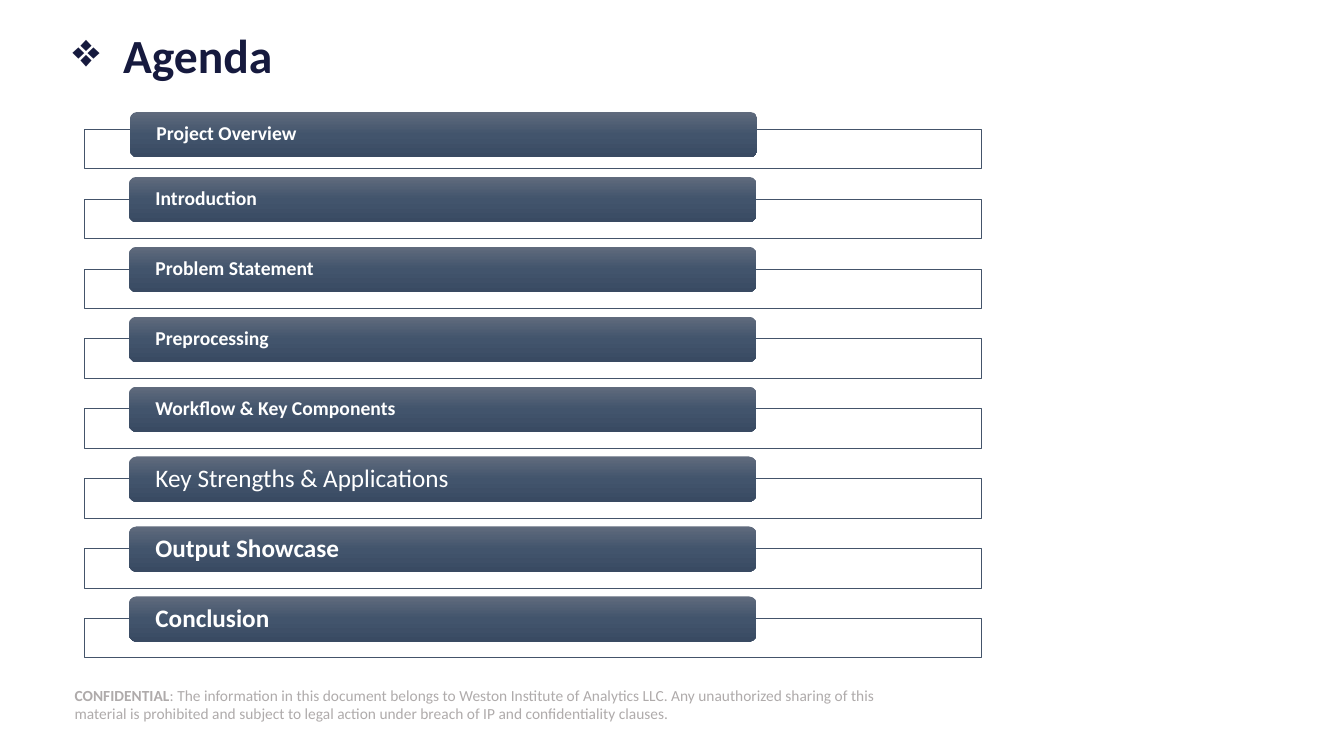
import copy

import lxml.etree
import pptx
import pptx.dml.color
import pptx.enum.shapes
import pptx.enum.text
import pptx.oxml.ns
import pptx.util

COLORS = {
    "white": "FFFFFF",
    "title": "161A3E",
    "frame": "44546A",
    "footer": "AFABAB",
    "bar_top": "606B7D",
    "bar_middle": "42546C",
    "bar_bottom": "394A62",
}
FONT = "Calibri"
SLIDE_WIDTH, SLIDE_HEIGHT = 13.33, 7.5
AGENDA = [
    ("Project Overview", 14, True),
    ("Introduction", 14, True),
    ("Problem Statement", 14, True),
    ("Preprocessing", 14, True),
    ("Workflow & Key Components", 14, True),
    ("Key Strengths & Applications", 18, False),
    ("Output Showcase", 18, True),
    ("Conclusion", 18, True),
]
CONFIDENTIALITY = (
    ": The information in this document belongs to Weston Institute of Analytics LLC. "
    "Any unauthorized sharing of this material is prohibited and subject to legal action "
    "under breach of IP and confidentiality clauses."
)


def rgb(name):
    return pptx.dml.color.RGBColor.from_string(COLORS[name])


def add_child(parent, tag, **attributes):
    return lxml.etree.SubElement(parent, pptx.oxml.ns.qn(tag), attributes)


def place(shape, box):
    shape.left, shape.top, shape.width, shape.height = map(pptx.util.Inches, box)


def add_box(page, kind, box):
    shape = page.shapes.add_shape(kind, *map(pptx.util.Inches, box))
    shape.shadow.inherit = False
    shape.line.fill.background()
    return shape


def format_frame(frame, inset=0):
    frame.word_wrap = True
    frame.auto_size = pptx.enum.text.MSO_AUTO_SIZE.NONE
    frame.vertical_anchor = pptx.enum.text.MSO_ANCHOR.MIDDLE
    frame.margin_left = frame.margin_right = pptx.util.Inches(inset)
    frame.margin_top = frame.margin_bottom = 0


def add_text(para, text, size, color, bold=False, spacing=1.0):
    para.alignment = pptx.enum.text.PP_ALIGN.LEFT
    para.line_spacing = spacing
    span = para.add_run()
    span.text = text
    span.font.name = FONT
    span.font.size = pptx.util.Pt(size)
    span.font.bold = bold
    span.font.color.rgb = rgb(color)


def fill_bar(bar):
    bar.fill.gradient()
    bar.fill.gradient_angle = 270
    first_stop = bar.fill.gradient_stops[0]._gs
    first_stop.addnext(copy.deepcopy(first_stop))
    names = ("bar_top", "bar_middle", "bar_bottom")
    for index, (stop, name) in enumerate(zip(bar.fill.gradient_stops, names)):
        stop.position = index / 2
        stop.color.rgb = rgb(name)


def build_title(page, box):
    title = page.shapes.title
    place(title, box)
    format_frame(title.text_frame)
    para = title.text_frame.paragraphs[0]
    add_text(para, "Agenda", 34, "title", bold=True, spacing=0.9)
    properties = para._p.get_or_add_pPr()
    indent = pptx.util.Inches(0.5)
    properties.set("marL", str(indent))
    properties.set("indent", str(-indent))
    add_child(properties, "a:buChar", char="❖")


def build_agenda(page, box):
    left, top, width, height = box
    pitch = height / len(AGENDA)
    shapes = pptx.enum.shapes.MSO_SHAPE
    for row, (label, size, bold) in enumerate(AGENDA):
        row_top = top + row * pitch
        frame = add_box(page, shapes.RECTANGLE, (left, row_top, width, 0.39))
        frame.fill.solid()
        frame.fill.fore_color.rgb = rgb("white")
        color = frame.fill._xPr.find(".//" + pptx.oxml.ns.qn("a:srgbClr"))
        add_child(color, "a:alpha", val="90000")
        frame.line.color.rgb = rgb("frame")
        frame.line.width = pptx.util.Pt(0.5)

        shift, rise = (0.45, 0.17) if row == 0 else (0.44, 0.22)
        bar_box = (left + shift, row_top - rise, width * 0.7, 0.45)
        bar = add_box(page, shapes.ROUNDED_RECTANGLE, bar_box)
        fill_bar(bar)
        format_frame(bar.text_frame, inset=0.24)
        add_text(bar.text_frame.paragraphs[0], label, size, "white", bold=bold, spacing=0.9)


def build_footer(page, box):
    footer = add_box(page, pptx.enum.shapes.MSO_SHAPE.RECTANGLE, box)
    footer.fill.solid()
    footer.fill.fore_color.rgb = rgb("white")
    format_frame(footer.text_frame)
    para = footer.text_frame.paragraphs[0]
    add_text(para, "CONFIDENTIAL", 11, "footer", bold=True)
    add_text(para, CONFIDENTIALITY, 11, "footer")


def main():
    deck = pptx.Presentation()
    deck.slide_width = pptx.util.Inches(SLIDE_WIDTH)
    deck.slide_height = pptx.util.Inches(SLIDE_HEIGHT)
    page = deck.slides.add_slide(deck.slide_layouts.get_by_name("Title Only"))
    build_footer(page, (0.74, 6.79, 8.17, 0.4))
    build_title(page, (0.72, 0.24, 11.85, 0.67))
    build_agenda(page, (0.84, 1.28, 8.89, 5.55))
    deck.save("out.pptx")


if __name__ == "__main__":
    main()
